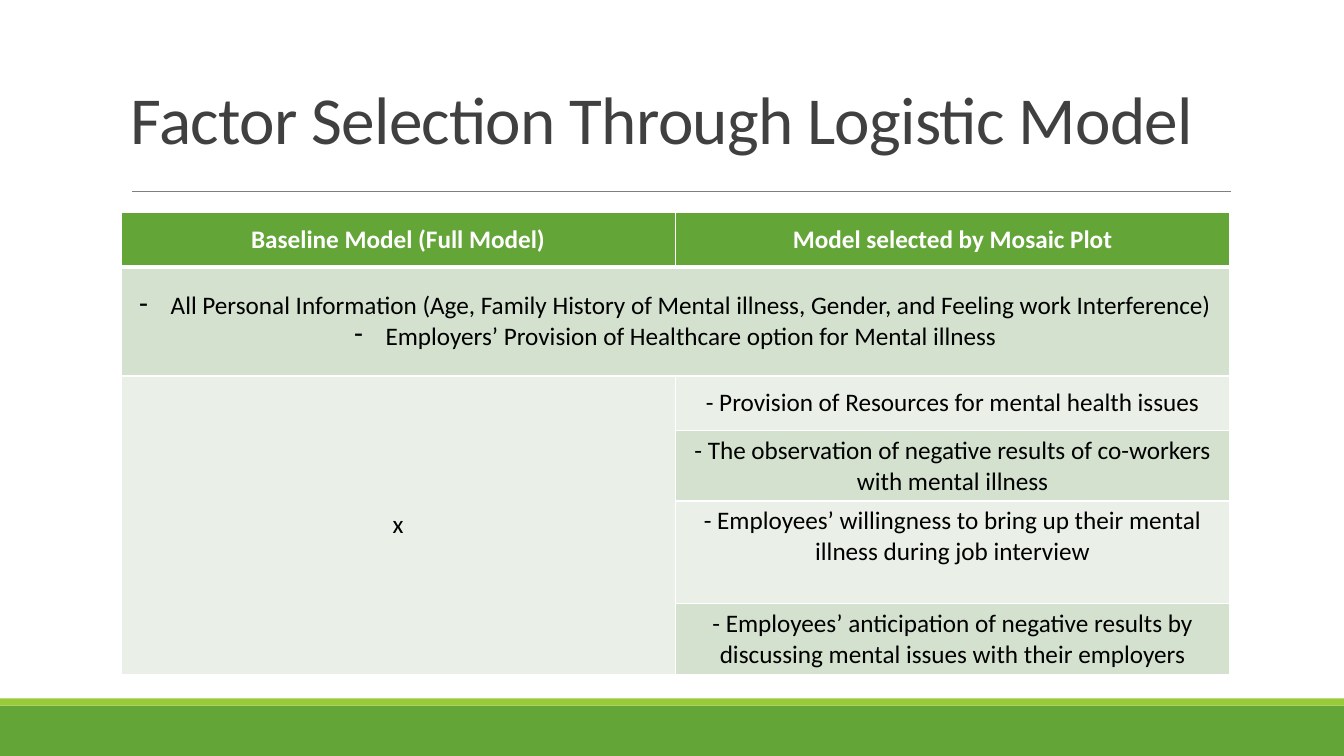
from dataclasses import dataclass
from typing import Any

from lxml import etree
from pptx import Presentation
from pptx.dml.color import RGBColor
from pptx.enum.shapes import MSO_CONNECTOR, MSO_SHAPE
from pptx.enum.text import MSO_ANCHOR, PP_ALIGN
from pptx.oxml.ns import qn
from pptx.util import Inches, Length, Pt

RECTANGLE = MSO_SHAPE.RECTANGLE
STRAIGHT = MSO_CONNECTOR.STRAIGHT
TOP, MIDDLE, BOTTOM = MSO_ANCHOR.TOP, MSO_ANCHOR.MIDDLE, MSO_ANCHOR.BOTTOM
CENTER = PP_ALIGN.CENTER


@dataclass(frozen=True)
class Theme:
    font: str = "Calibri"
    title_size: float = 48
    table_size: float = 18
    green: str = "63A537"
    lime: str = "99CB38"
    rule: str = "808080"
    title: str = "404040"
    text: str = "000000"
    white: str = "FFFFFF"
    dark_band: str = "D3E1CE"
    light_band: str = "EAF0E8"


THEME = Theme()

# The grid has ten units to the inch
GRID_COLUMNS, GRID_ROWS = 133.33, 75
LEFT, CONTENT_WIDTH = 12, 110
TABLE_TOP = 21.1
ROW_HEIGHTS = (5.4, 10.8, 5.4, 7, 10.2, 7)
COLUMN_COUNT = 2


@dataclass(frozen=True)
class Box:
    left: float
    top: float
    width: float
    height: float


@dataclass(frozen=True)
class Band:
    box: Box
    color: str


@dataclass(frozen=True)
class Entry:
    row: int
    column: int
    lines: tuple[str, ...]
    fill: str
    color: str = THEME.text
    bold: bool = False
    bulleted: bool = False
    anchor: Any = MIDDLE
    row_span: int = 1
    column_span: int = 1


FOOTER_BANDS = (
    Band(Box(0, 70, GRID_COLUMNS, 5), THEME.green),
    Band(Box(0, 69.3, GRID_COLUMNS, 0.7), THEME.lime),
)

ENTRIES = (
    Entry(0, 0, ("Baseline Model (Full Model)",), THEME.green, THEME.white, True),
    Entry(0, 1, ("Model selected by Mosaic Plot",), THEME.green, THEME.white, True),
    Entry(1, 0, (
        "All Personal Information (Age, Family History of Mental illness, "
        "Gender, and Feeling work Interference)",
        "Employers’ Provision of Healthcare option for Mental illness",
    ), THEME.dark_band, bulleted=True, column_span=2),
    Entry(2, 0, ("x",), THEME.light_band, row_span=4),
    Entry(2, 1, ("- Provision of Resources for mental health issues",),
          THEME.light_band),
    Entry(3, 1, ("- The observation of negative results of co-workers "
                 "with mental illness",), THEME.dark_band),
    Entry(4, 1, ("- Employees’ willingness to bring up their mental illness "
                 "during job interview",), THEME.light_band, anchor=TOP),
    Entry(5, 1, ("- Employees’ anticipation of negative results by discussing "
                 "mental issues with their employers",), THEME.dark_band),
)


def units(value: float) -> Length:
    return Inches(value / 10)


def place(box: Box) -> tuple[Length, ...]:
    return tuple(units(v) for v in (box.left, box.top, box.width, box.height))


def rgb(color: str) -> RGBColor:
    return RGBColor.from_string(color)


def apply(target: Any, formats: dict[str, Any]) -> None:
    for name, value in formats.items():
        setattr(target, name, value)


def style_font(font: Any, size: float, color: str, bold: bool = False) -> None:
    apply(font, {"name": THEME.font, "size": Pt(size), "bold": bold})
    font.color.rgb = rgb(color)


def draw_band(slide: Any, band: Band) -> None:
    strip = slide.shapes.add_shape(RECTANGLE, *place(band.box))
    strip.shadow.inherit = False
    strip.fill.solid()
    strip.fill.fore_color.rgb = rgb(band.color)
    strip.line.fill.background()


def draw_title(slide: Any, text: str) -> None:
    title = slide.shapes.add_textbox(*place(Box(LEFT, 7.1, CONTENT_WIDTH, 9.1)))
    apply(title.text_frame, {"word_wrap": True, "vertical_anchor": BOTTOM})
    heading = title.text_frame.paragraphs[0]
    heading.line_spacing = 0.85
    run = heading.add_run()
    run.text = text
    style_font(run.font, THEME.title_size, THEME.title)
    run.font._element.set("spc", "-50")

    # Rule below the title
    rule = slide.shapes.add_connector(
        STRAIGHT, units(13.1), units(19), units(122.1), units(19))
    rule.line.color.rgb = rgb(THEME.rule)
    rule.line.width = Pt(0.5)
    etree.SubElement(rule._element.spPr, qn("a:effectLst"))


def draw_borders(cell: Any, row: int) -> None:
    widths = {"lnL": 1, "lnR": 1,
              "lnT": 3 if row == 1 else 1, "lnB": 3 if row == 0 else 1}
    properties = cell._tc.get_or_add_tcPr()
    for side, width in widths.items():
        border = etree.SubElement(properties, qn(f"a:{side}"), w=str(Pt(width)))
        fill = etree.SubElement(border, qn("a:solidFill"))
        etree.SubElement(fill, qn("a:srgbClr"), val=THEME.white)


def add_dash(paragraph: Any) -> None:
    properties = paragraph._p.get_or_add_pPr()
    indent = Inches(0.31)
    properties.set("marL", str(indent))
    properties.set("indent", str(-indent))
    etree.SubElement(properties, qn("a:buChar"), char="-")


def fill_entry(table: Any, entry: Entry) -> None:
    cell = table.cell(entry.row, entry.column)
    if entry.row_span > 1 or entry.column_span > 1:
        cell.merge(table.cell(entry.row + entry.row_span - 1,
                              entry.column + entry.column_span - 1))
    cell.vertical_anchor = entry.anchor
    cell.fill.solid()
    cell.fill.fore_color.rgb = rgb(entry.fill)
    cell.text = "\n".join(entry.lines)
    for paragraph in cell.text_frame.paragraphs:
        paragraph.alignment = CENTER
        style_font(paragraph.runs[0].font, THEME.table_size, entry.color, entry.bold)
        if entry.bulleted:
            add_dash(paragraph)


def draw_table(slide: Any) -> None:
    box = Box(LEFT, TABLE_TOP, CONTENT_WIDTH, sum(ROW_HEIGHTS))
    table = slide.shapes.add_table(len(ROW_HEIGHTS), COLUMN_COUNT, *place(box)).table
    apply(table, {"first_row": False, "horz_banding": False})
    for row, height in enumerate(ROW_HEIGHTS):
        table.rows[row].height = units(height)
        for column in range(COLUMN_COUNT):
            draw_borders(table.cell(row, column), row)
    for entry in ENTRIES:
        fill_entry(table, entry)


def main() -> None:
    deck = Presentation()
    apply(deck, {"slide_width": units(GRID_COLUMNS), "slide_height": units(GRID_ROWS)})
    slide = deck.slides.add_slide(deck.slide_layouts[6])
    for band in FOOTER_BANDS:
        draw_band(slide, band)
    draw_title(slide, "Factor Selection Through Logistic Model")
    draw_table(slide)
    deck.save("out.pptx")


if __name__ == "__main__":
    main()
